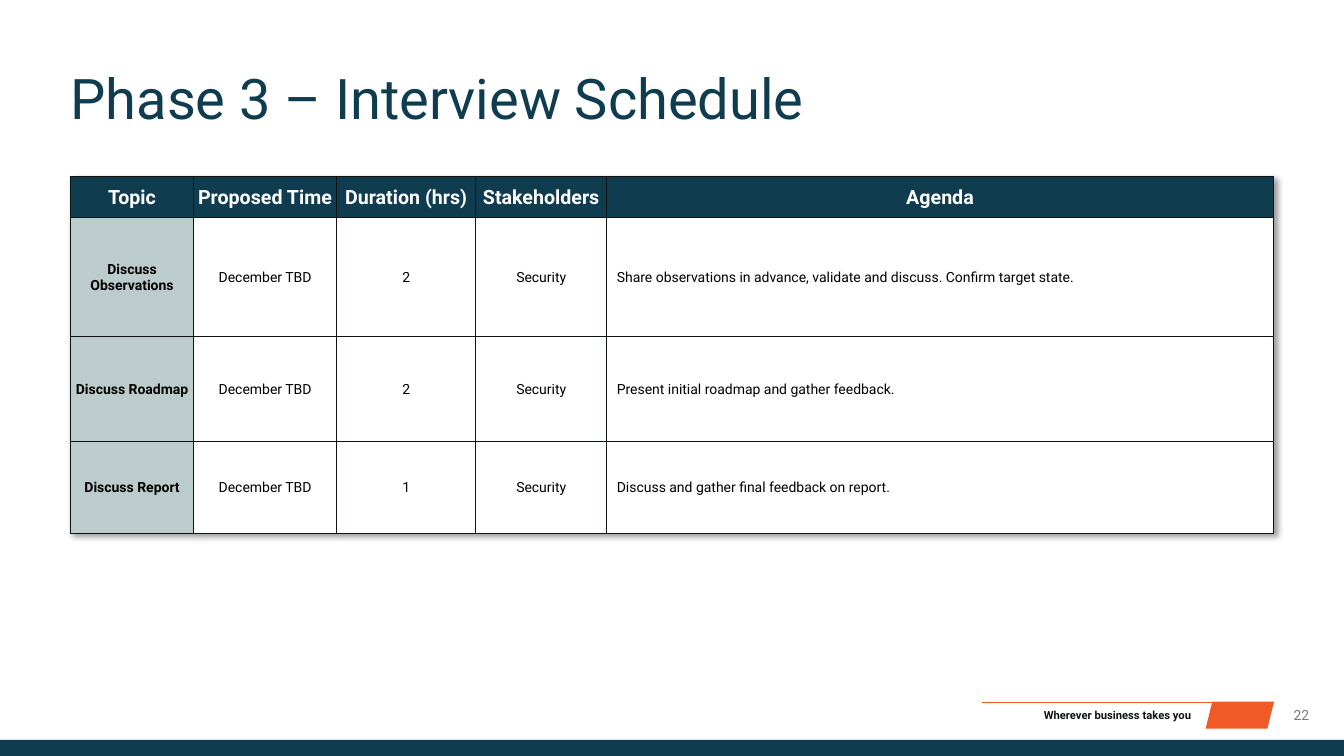
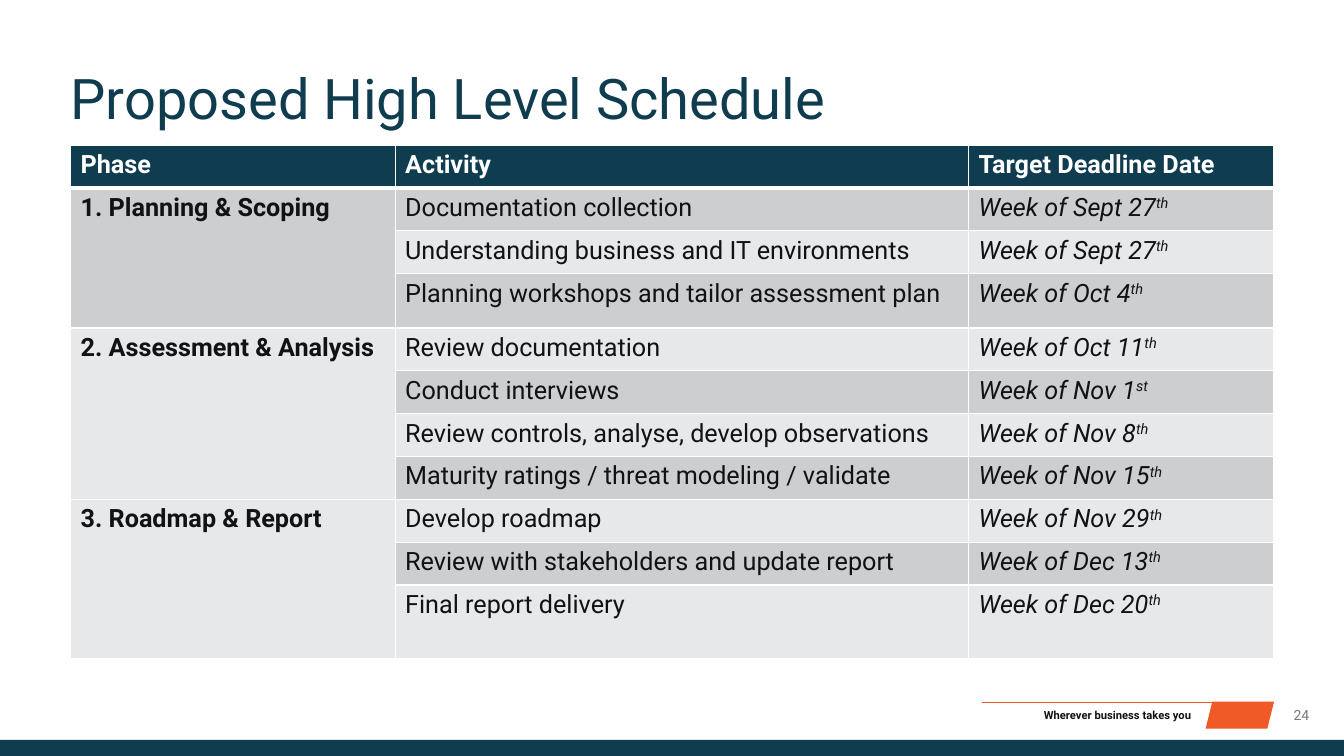
from lxml import etree
from pptx import Presentation
from pptx.dml.color import RGBColor
from pptx.enum.shapes import MSO_CONNECTOR as Line, MSO_SHAPE as Shape
from pptx.enum.text import MSO_ANCHOR as Anchor, MSO_AUTO_SIZE as Fit, PP_ALIGN as Align
from pptx.oxml import parse_xml
from pptx.oxml.ns import nsdecls, qn
from pptx.util import Inches, Pt

NAVY = RGBColor(0x0F, 0x3C, 0x4F)
ORANGE = RGBColor(0xEF, 0x5A, 0x27)
INK = RGBColor(0x0F, 0x13, 0x13)
BLACK = RGBColor(0, 0, 0)
WHITE = RGBColor(0xFF, 0xFF, 0xFF)
GREY = RGBColor(0x79, 0x79, 0x79)
SAGE = RGBColor(0xBC, 0xCB, 0xCB)
BANDS = RGBColor(0xE7, 0xE8, 0xE9), RGBColor(0xCC, 0xCE, 0xD0)

GRID = Inches(0.1)
WIDE, HIGH = 133.33, 75
MARGIN = 7
CONTENT = WIDE - 2 * MARGIN
FOOT_TOP, FOOT_HIGH = 69.6, 2.7
BAR_HIGH = 1.6

FOOT_FRAME = {"margin_left": 0, "margin_right": 0, "word_wrap": True}
TITLE_FRAME = FOOT_FRAME | {"margin_top": 0, "margin_bottom": 0,
                            "vertical_anchor": Anchor.TOP, "auto_size": Fit.NONE}
TIGHT_CELL = {"margin_left": GRID // 10, "margin_right": GRID // 10,
              "margin_top": GRID // 10, "margin_bottom": 0,
              "vertical_anchor": Anchor.MIDDLE}


def grid(*cells):
    return [round(cell * GRID) for cell in cells]


def write(paragraph, text, size, color, align=Align.LEFT, bold=False, italic=False, raised=0):
    paragraph.alignment = align
    cut = len(text) - raised
    for part, baseline in ((text[:cut], None), (text[cut:], "30000")):
        if part:
            run = paragraph.add_run()
            run.text = part
            look = {"name": "Roboto", "size": Pt(size), "bold": bold, "italic": italic}
            for key, value in look.items():
                setattr(run.font, key, value)
            run.font.color.rgb = color
            if baseline:
                run.font._element.set("baseline", baseline)


deck = Presentation()
deck.slide_width, deck.slide_height = grid(WIDE, HIGH)

pages = []
for heading, number in (("Phase 3 – Interview Schedule", "22"),
                        ("Proposed High Level Schedule", "24")):
    page = deck.slides.add_slide(deck.slide_layouts[5])
    pages.append(page)

    title = page.shapes.title
    title.left, title.top, title.width, title.height = grid(MARGIN, 7.1, CONTENT, 6.1)
    for key, value in TITLE_FRAME.items():
        setattr(title.text_frame, key, value)
    title.text_frame.paragraphs[0].line_spacing = 0.9
    write(title.text_frame.paragraphs[0], heading, 40, NAVY)

    for outline, color, place in (
        (Shape.PARALLELOGRAM, ORANGE, (119.6, FOOT_TOP, 6.8, FOOT_HIGH)),
        (Shape.RECTANGLE, NAVY, (0, HIGH - BAR_HIGH, WIDE, BAR_HIGH)),
    ):
        band = page.shapes.add_shape(outline, *grid(*place))
        band.shadow.inherit = False
        band.fill.solid()
        band.fill.fore_color.rgb = color
        band.line.fill.background()

    rule = page.shapes.add_connector(Line.STRAIGHT, *grid(97.4, 69.7, 126.2, 69.7))
    rule.line.color.rgb = ORANGE
    rule.line.width = Pt(1)
    etree.SubElement(rule._element.spPr, qn("a:effectLst"))

    for text, place, size, color, align, bold, anchor in (
        ("Wherever business takes you", (97.7, 69.8, 20.5, 2.4), 8, INK, Align.RIGHT, True, Anchor.TOP),
        (number, (126.4, FOOT_TOP, 5.4, FOOT_HIGH), 10, GREY, Align.CENTER, False, Anchor.MIDDLE),
    ):
        frame = page.shapes.add_textbox(*grid(*place)).text_frame
        for key, value in (FOOT_FRAME | {"vertical_anchor": anchor}).items():
            setattr(frame, key, value)
        write(frame.paragraphs[0], text, size, color, align, bold)

interviews = [
    ("Topic", "Proposed Time", "Duration (hrs)", "Stakeholders", "Agenda"),
    ("Discuss Observations", "December TBD", "2", "Security",
     "Share observations in advance, validate and discuss. Confirm target state."),
    ("Discuss Roadmap", "December TBD", "2", "Security",
     "Present initial roadmap and gather feedback."),
    ("Discuss Report", "December TBD", "1", "Security",
     "Discuss and gather final feedback on report."),
]
phases = [
    ("1. Planning & Scoping", [
        ("Documentation collection", "Sept 27th"),
        ("Understanding business and IT environments", "Sept 27th"),
        ("Planning workshops and tailor assessment plan", "Oct 4th")]),
    ("2. Assessment & Analysis", [
        ("Review documentation", "Oct 11th"),
        ("Conduct interviews", "Nov 1st"),
        ("Review controls, analyse, develop observations", "Nov 8th"),
        ("Maturity ratings / threat modeling / validate", "Nov 15th")]),
    ("3. Roadmap & Report", [
        ("Develop roadmap", "Nov 29th"),
        ("Review with stakeholders and update report", "Dec 13th"),
        ("Final report delivery", "Dec 20th")]),
]

tables = []
for page, top, columns, rows, edge, header_edge in (
    (pages[0], 17.5, (12.2, 14.2, 13.8, 13), (4.1, 11.8, 10.4, 9.1), INK, 1),
    (pages[1], 14.4, (32.2, 56.9), (4.25,) * 3 + (5.4,) + (4.25,) * 6 + (7.3,), WHITE, 3),
):
    columns += (CONTENT - sum(columns),)
    table = page.shapes.add_table(len(rows), len(columns),
                                  *grid(MARGIN, top, CONTENT, sum(rows))).table
    tables.append(table)
    table.first_row = table.horz_banding = False
    for column, width in zip(table.columns, grid(*columns)):
        column.width = width
    for index, (row, height) in enumerate(zip(table.rows, grid(*rows))):
        row.height = height
        for cell in row.cells:
            cell.fill.solid()
            cell.fill.fore_color.rgb = BANDS[index % 2] if index else NAVY
            below = header_edge if index == 0 else 1
            above = header_edge if index == 1 else 1
            for spot, (side, points) in enumerate(zip("LRTB", (1, 1, above, below))):
                cell._tc.get_or_add_tcPr().insert(spot, parse_xml(
                    f'<a:ln{side} {nsdecls("a")} w="{Pt(points)}"><a:solidFill>'
                    f'<a:srgbClr val="{edge}"/></a:solidFill></a:ln{side}>'))

interview_table, schedule_table = tables

interview_table._tbl.tblPr.insert(0, parse_xml(
    f'<a:effectLst {nsdecls("a")}><a:outerShdw blurRad="50800" dist="38100" dir="2700000" '
    'algn="tl" rotWithShape="0"><a:srgbClr val="000000"><a:alpha val="40000"/></a:srgbClr>'
    '</a:outerShdw></a:effectLst>'))
for r, entries in enumerate(interviews):
    for c, text in enumerate(entries):
        cell = interview_table.cell(r, c)
        for key, value in TIGHT_CELL.items():
            setattr(cell, key, value)
        paragraph = cell.text_frame.paragraphs[0]
        if r == 0:
            write(paragraph, text, 14, WHITE, Align.CENTER, bold=True)
            continue
        cell.fill.fore_color.rgb = WHITE if c else SAGE
        agenda = c == len(entries) - 1
        if agenda:
            paragraph._p.get_or_add_pPr().set("marL", str(Inches(0.09)))
        paragraph.space_after = Pt(3)
        write(paragraph, text, 10, BLACK, Align.LEFT if agenda else Align.CENTER, bold=c == 0)

for c, text in enumerate(("Phase", "Activity", "Target Deadline Date")):
    write(schedule_table.cell(0, c).text_frame.paragraphs[0], text, 18, WHITE, bold=True)
r = 1
for phase, activities in phases:
    first = schedule_table.cell(r, 0)
    first.merge(schedule_table.cell(r + len(activities) - 1, 0))
    write(first.text_frame.paragraphs[0], phase, 18, INK, bold=True)
    for activity, date in activities:
        write(schedule_table.cell(r, 1).text_frame.paragraphs[0], activity, 18, INK)
        write(schedule_table.cell(r, 2).text_frame.paragraphs[0], f"Week of {date}", 18, INK,
              italic=True, raised=2)
        r += 1

deck.save("out.pptx")
